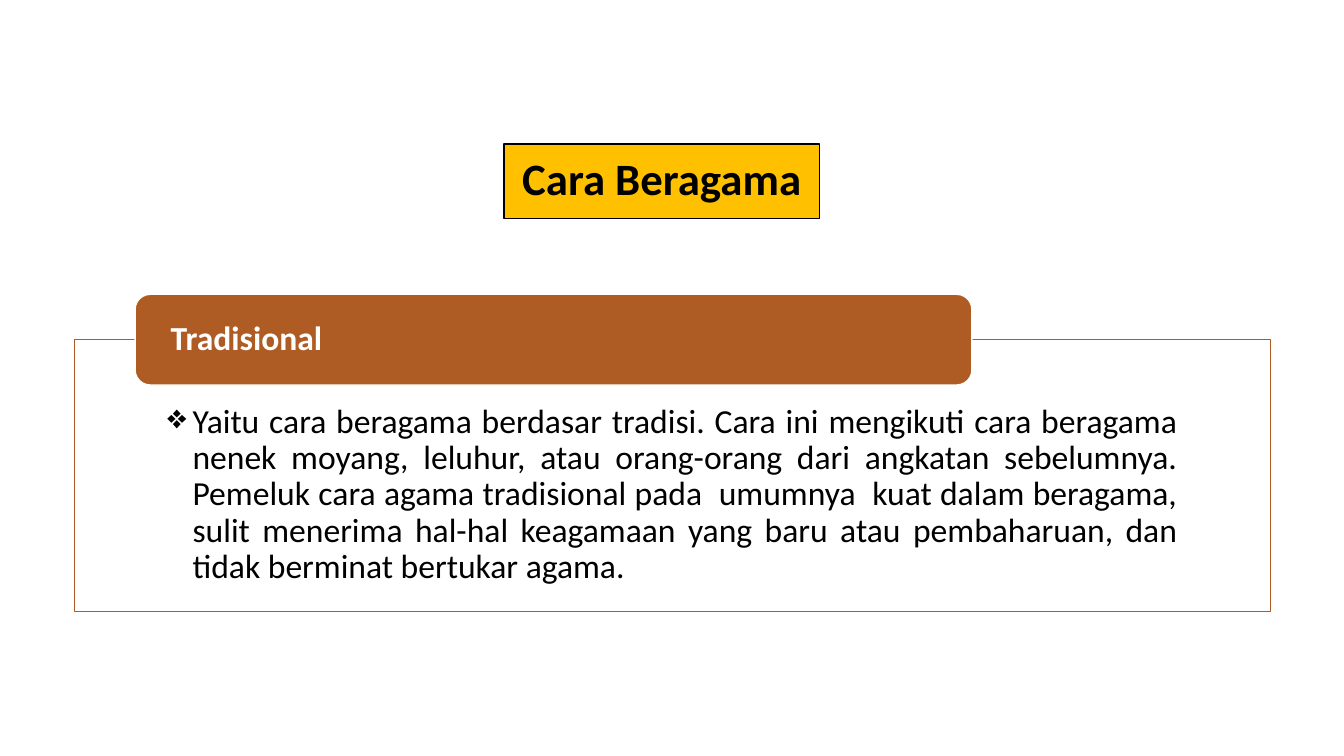
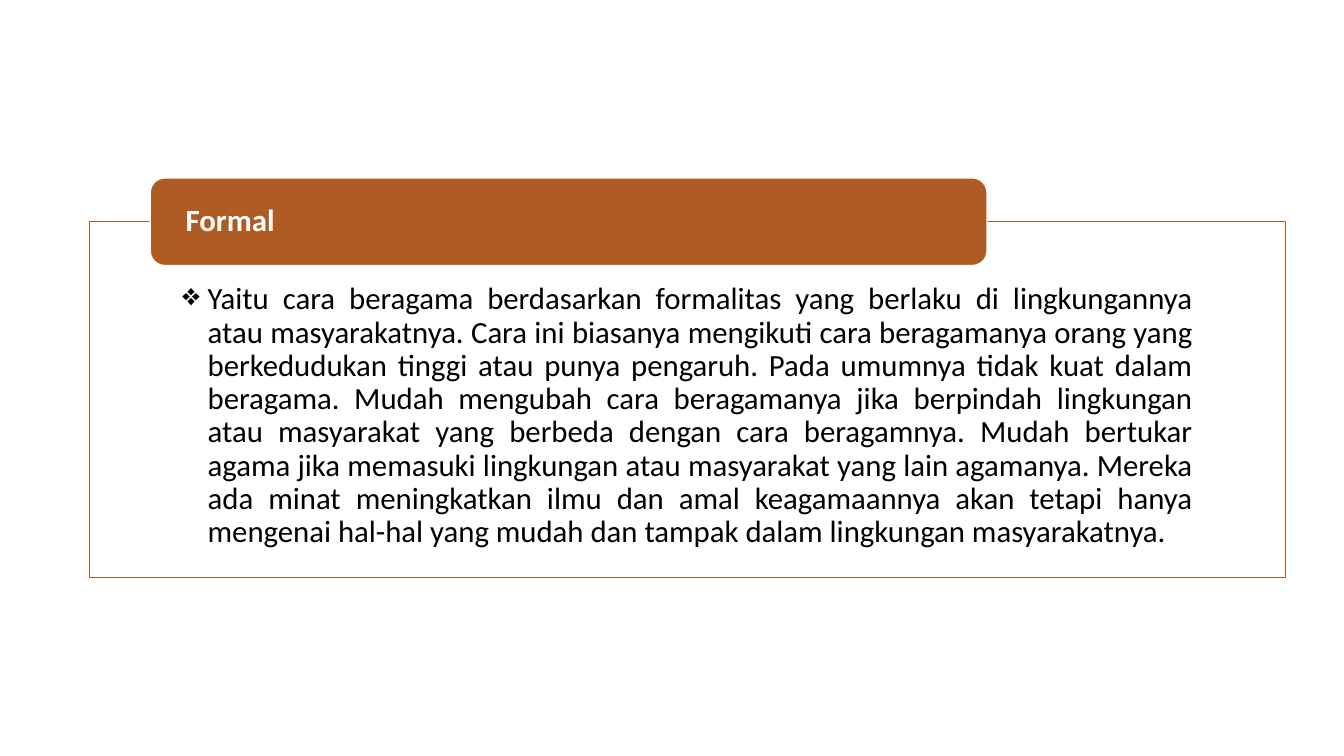
from dataclasses import dataclass

from lxml.etree import SubElement
from pptx import Presentation
from pptx.dml.color import RGBColor
from pptx.enum.shapes import MSO_SHAPE
from pptx.enum.text import MSO_ANCHOR, PP_ALIGN
from pptx.oxml.ns import qn
from pptx.shapes.autoshape import Shape
from pptx.slide import Slide
from pptx.util import Inches, Pt

FONT = "Calibri"
BLACK = RGBColor(0x00, 0x00, 0x00)
WHITE = RGBColor(0xFF, 0xFF, 0xFF)
GOLD = RGBColor(0xFF, 0xC0, 0x00)
BROWN = RGBColor(0xAF, 0x5C, 0x24)

PANEL_WIDTH = 11.86
HEADING_WIDTH = 8.3
HEADING_OFFSET = 0.6
BULLET_INDENT = 0.25


@dataclass(frozen=True)
class Box:
    left: float
    top: float
    width: float
    height: float


@dataclass(frozen=True)
class Insets:
    left: float = 0.1
    top: float = 0.05
    right: float = 0.1
    bottom: float = 0.05


@dataclass(frozen=True)
class TextStyle:
    size: int
    color: RGBColor
    bold: bool
    align: PP_ALIGN
    anchor: MSO_ANCHOR
    insets: Insets


@dataclass(frozen=True)
class Topic:
    """One way of being religious: its heading overlaps the top of its panel."""
    heading: str
    description: str
    left: float
    top: float
    height: float
    heading_height: float
    size: int
    inset_top: float
    inset_bottom: float


TRADITIONAL = Topic(
    "Tradisional",
    "Yaitu cara beragama berdasar tradisi. Cara ini mengikuti cara beragama "
    "nenek moyang, leluhur, atau orang-orang dari angkatan sebelumnya. "
    "Pemeluk cara agama tradisional pada  umumnya  kuat dalam beragama, "
    "sulit menerima hal-hal keagamaan yang baru atau pembaharuan, dan "
    "tidak berminat bertukar agama.",
    left=0.74, top=3.37, height=2.7, heading_height=0.9,
    size=24, inset_top=0.64, inset_bottom=0.19,
)
FORMAL = Topic(
    "Formal",
    "Yaitu cara beragama berdasarkan formalitas yang berlaku di lingkungannya "
    "atau masyarakatnya. Cara ini biasanya mengikuti cara beragamanya orang yang "
    "berkedudukan tinggi atau punya pengaruh. Pada umumnya tidak kuat dalam "
    "beragama. Mudah mengubah cara beragamanya jika berpindah lingkungan "
    "atau masyarakat yang berbeda dengan cara beragamnya. Mudah bertukar "
    "agama jika memasuki lingkungan atau masyarakat yang lain agamanya. Mereka "
    "ada minat meningkatkan ilmu dan amal keagamaannya akan tetapi hanya "
    "mengenai hal-hal yang mudah dan tampak dalam lingkungan masyarakatnya.",
    left=0.89, top=2.2, height=3.53, heading_height=0.87,
    size=22, inset_top=0.61, inset_bottom=0.17,
)


def add_box(slide: Slide, preset: MSO_SHAPE, box: Box,
            fill: RGBColor, line: RGBColor) -> Shape:
    shape = slide.shapes.add_shape(
        preset, Inches(box.left), Inches(box.top),
        Inches(box.width), Inches(box.height))
    shape.shadow.inherit = False
    shape.fill.solid()
    shape.fill.fore_color.rgb = fill
    shape.line.color.rgb = line
    shape.line.width = Pt(1)
    return shape


def write_text(shape: Shape, text: str, style: TextStyle) -> None:
    frame = shape.text_frame
    frame.word_wrap = True
    frame.vertical_anchor = style.anchor
    frame.margin_left = Inches(style.insets.left)
    frame.margin_top = Inches(style.insets.top)
    frame.margin_right = Inches(style.insets.right)
    frame.margin_bottom = Inches(style.insets.bottom)
    paragraph = frame.paragraphs[0]
    paragraph.alignment = style.align
    paragraph.line_spacing = 0.9
    run = paragraph.add_run()
    run.text = text
    run.font.name = FONT
    run.font.size = Pt(style.size)
    run.font.bold = style.bold
    run.font.color.rgb = style.color


def add_bullet(shape: Shape) -> None:
    paragraph = shape.text_frame.paragraphs[0]
    paragraph.level = 1
    properties = paragraph._p.get_or_add_pPr()
    properties.set("marL", str(Inches(BULLET_INDENT)))
    properties.set("indent", str(-Inches(BULLET_INDENT)))
    SubElement(properties, qn("a:buChar")).set("char", "❖")


def set_opacity(shape: Shape, percent: int) -> None:
    color = shape.element.spPr.find(qn("a:solidFill")).find(qn("a:srgbClr"))
    SubElement(color, qn("a:alpha")).set("val", str(percent * 1000))


def add_title(slide: Slide, text: str) -> None:
    title = add_box(slide, MSO_SHAPE.RECTANGLE, Box(5, 1.43, 3.13, 0.74), GOLD, BLACK)
    write_text(title, text, TextStyle(
        32, BLACK, True, PP_ALIGN.CENTER, MSO_ANCHOR.MIDDLE, Insets()))


def add_topic(slide: Slide, topic: Topic) -> None:
    panel = add_box(slide, MSO_SHAPE.RECTANGLE,
                    Box(topic.left, topic.top, PANEL_WIDTH, topic.height), WHITE, BROWN)
    set_opacity(panel, 90)
    write_text(panel, topic.description, TextStyle(
        topic.size, BLACK, False, PP_ALIGN.JUSTIFY, MSO_ANCHOR.TOP,
        Insets(0.92, topic.inset_top, 0.92, topic.inset_bottom)))
    add_bullet(panel)

    heading_top = topic.top - topic.heading_height / 2
    heading = add_box(slide, MSO_SHAPE.ROUNDED_RECTANGLE,
                      Box(topic.left + HEADING_OFFSET, heading_top,
                          HEADING_WIDTH, topic.heading_height), BROWN, WHITE)
    write_text(heading, topic.heading, TextStyle(
        topic.size, WHITE, True, PP_ALIGN.LEFT, MSO_ANCHOR.MIDDLE,
        Insets(0.31, 0, 0.31, 0)))


def main() -> None:
    presentation = Presentation()
    presentation.slide_width = Inches(13.33)
    presentation.slide_height = Inches(7.5)
    blank = presentation.slide_layouts[6]

    traditional_slide = presentation.slides.add_slide(blank)
    add_title(traditional_slide, "Cara Beragama")
    add_topic(traditional_slide, TRADITIONAL)

    formal_slide = presentation.slides.add_slide(blank)
    add_topic(formal_slide, FORMAL)

    presentation.save("out.pptx")


if __name__ == "__main__":
    main()
